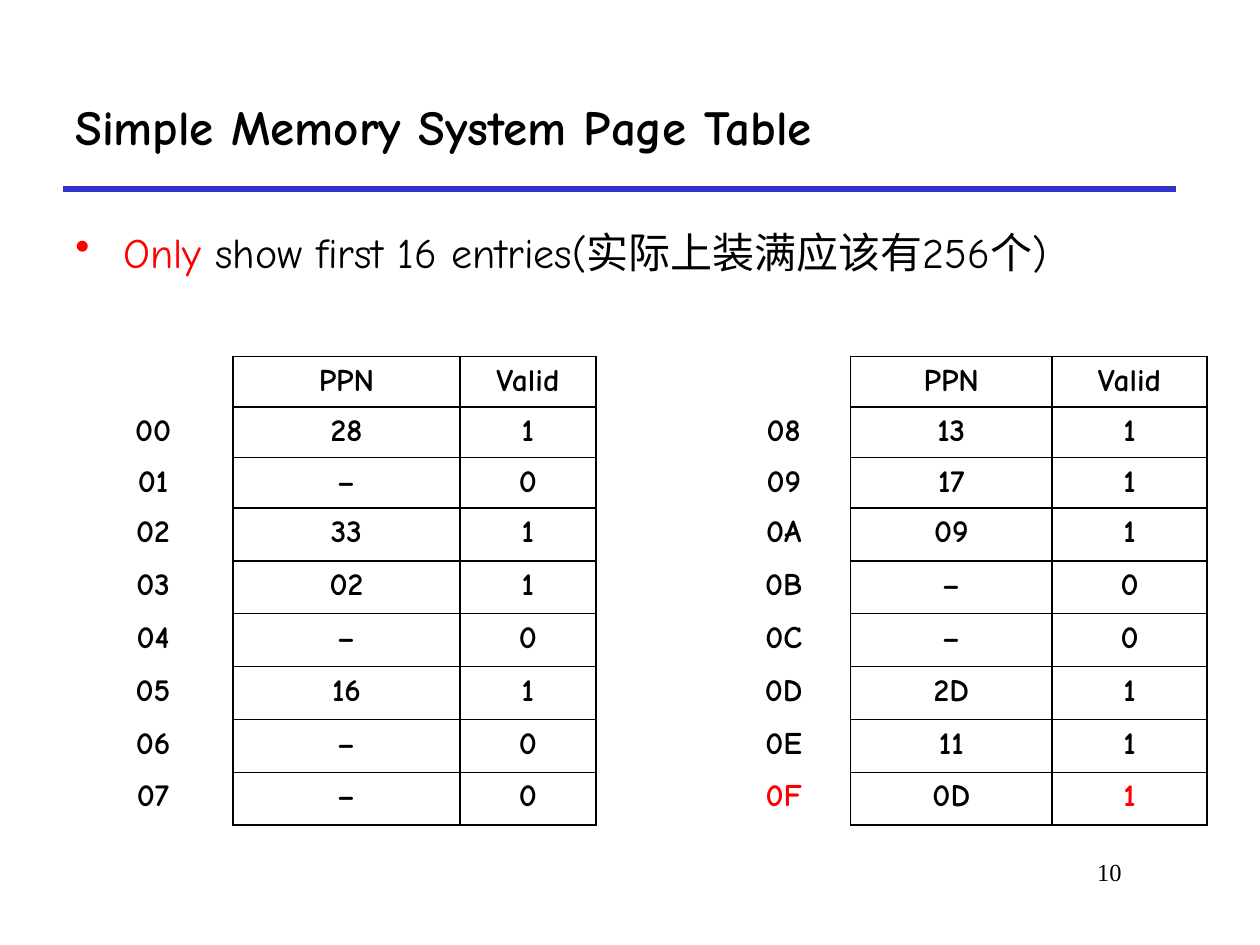
from lxml import etree
from pptx import Presentation
from pptx import util as u
from pptx.dml.color import RGBColor
from pptx.enum import shapes, text
from pptx.oxml import ns

BLACK = RGBColor(0x00, 0x00, 0x00)
RED = RGBColor(0xFF, 0x00, 0x00)
BLUE = RGBColor(0x33, 0x33, 0xCC)
HEADING_FONT = "Comic Neue"
NUMBER_FONT = "Times New Roman"

presentation = Presentation()
presentation.slide_width, presentation.slide_height = u.Inches(10), u.Inches(7.5)
slide = presentation.slides.add_slide(presentation.slide_layouts[6])


def add_run(paragraph, words, size, color=BLACK, bold=False, name=HEADING_FONT):
    run = paragraph.add_run()
    run.text = words
    run.font.color.rgb = color
    for attribute, value in {"size": u.Pt(size), "bold": bold, "name": name}.items():
        setattr(run.font, attribute, value)


def add_border(cell, side):
    """Draw one black edge of a cell; side is L, R, T or B."""
    line = etree.SubElement(cell._tc.get_or_add_tcPr(), ns.qn(f"a:ln{side}"), w=str(u.Pt(1)))
    fill = etree.SubElement(line, ns.qn("a:solidFill"))
    etree.SubElement(fill, ns.qn("a:srgbClr"), val=str(BLACK))


# Rule under the title
rule = slide.shapes.add_connector(
    shapes.MSO_CONNECTOR.STRAIGHT, u.Inches(0.5), u.Inches(1.5), u.Inches(9.33), u.Inches(1.5))
rule.line.color.rgb = BLUE
rule.line.width = u.Pt(3)
etree.SubElement(rule._element.spPr, ns.qn("a:effectLst"))

# Title, bullet and page number: box, anchor, alignment, runs
TOP, MIDDLE = text.MSO_ANCHOR.TOP, text.MSO_ANCHOR.MIDDLE
LEFT, RIGHT = text.PP_ALIGN.LEFT, text.PP_ALIGN.RIGHT
text_boxes = [
    ((0.5, 0.5, 8.83, 1), MIDDLE, LEFT,
     [("Simple Memory System Page Table", 28, BLACK, True)]),
    ((0.5, 1.75, 8.25, 0.58), TOP, LEFT,
     [("Only", 24, RED), (" show first 16 entries(实际上装满应该有256个)", 24)]),
    ((7.58, 6.75, 1.42, 0.5), TOP, RIGHT,
     [("10", 14, BLACK, False, NUMBER_FONT)]),
]
paragraphs = []
for box, anchor, alignment, runs in text_boxes:
    frame = slide.shapes.add_textbox(*map(u.Inches, box)).text_frame
    frame.word_wrap = True
    frame.vertical_anchor = anchor
    paragraph = frame.paragraphs[0]
    paragraph.alignment = alignment
    for run in runs:
        add_run(paragraph, *run)
    paragraphs.append(paragraph)

bullet_format = paragraphs[1]._p.get_or_add_pPr()
for attribute, value in {"marL": u.Inches(0.38), "indent": u.Inches(-0.38)}.items():
    bullet_format.set(attribute, str(value))
etree.SubElement(bullet_format, ns.qn("a:buChar"), char="•")

# Page tables: left edge, column widths, first page number, (PPN, valid) entries
ROW_HEIGHTS = [0.4] * 3 + [0.42] * 6
page_tables = [
    (0.58, (1.27, 1.8, 1.08), 0,
     ["28 1", "– 0", "33 1", "02 1", "– 0", "16 1", "– 0", "– 0"]),
    (5.69, (1.06, 1.6, 1.23), 8,
     ["13 1", "17 1", "09 1", "– 0", "– 0", "2D 1", "11 1", "0D 1"]),
]
RED_CELLS = {("0F", 0), ("0F", 2)}

for left, widths, first_page, entries in page_tables:
    rows = [["", "PPN", "Valid"]]
    rows += [[f"{page:02X}", *entry.split()] for page, entry in enumerate(entries, first_page)]
    table = slide.shapes.add_table(
        len(rows), len(widths), u.Inches(left), u.Inches(2.83),
        u.Inches(sum(widths)), u.Inches(sum(ROW_HEIGHTS))).table
    table.first_row = table.horz_banding = False
    for column, width in zip(table.columns, widths):
        column.width = u.Inches(width)
    for row_index, values in enumerate(rows):
        table.rows[row_index].height = u.Inches(ROW_HEIGHTS[row_index])
        for column_index, value in enumerate(values):
            cell = table.cell(row_index, column_index)
            for side in "LRTB" if column_index else "R":
                add_border(cell, side)
            cell.fill.background()
            paragraph = cell.text_frame.paragraphs[0]
            paragraph.alignment = text.PP_ALIGN.CENTER
            if value:
                color = RED if (values[0], column_index) in RED_CELLS else BLACK
                add_run(paragraph, value, 18, color, bold=True)

presentation.save("out.pptx")
